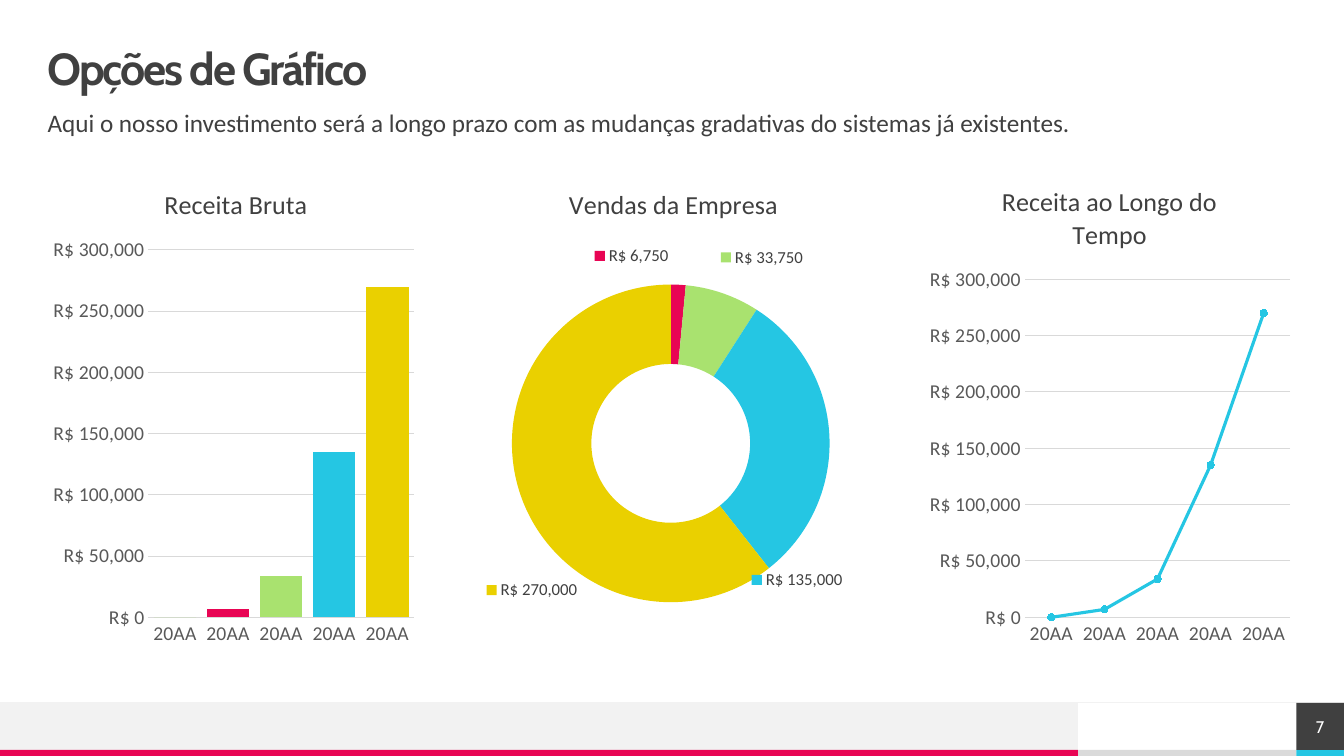
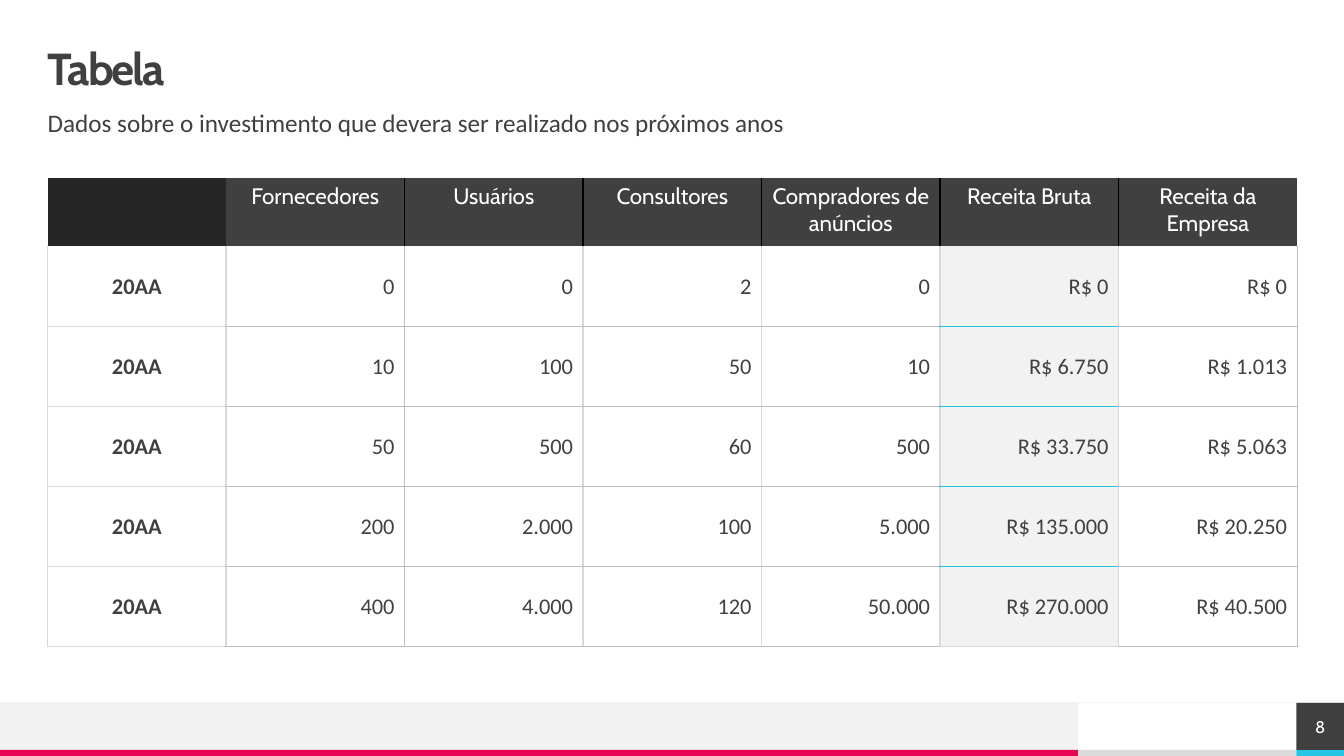
from pptx import Presentation
from pptx.chart.data import CategoryChartData as Data
from pptx.dml.color import RGBColor
from pptx.enum.chart import XL_CHART_TYPE as Kind, XL_MARKER_STYLE as Mark
from pptx.enum.chart import XL_TICK_MARK as Tick
from pptx.enum.shapes import MSO_CONNECTOR as Conn, MSO_SHAPE as Shape
from pptx.enum.text import MSO_ANCHOR as Anchor, MSO_AUTO_SIZE as Auto
from pptx.enum.text import PP_ALIGN as Align
from pptx.oxml import parse_xml
from pptx.oxml.ns import nsdecls, qn
from pptx.util import Pt

# Colours
WHITE = RGBColor(0xFF, 0xFF, 0xFF)
BLACK = RGBColor(0x00, 0x00, 0x00)
DARK = RGBColor(0x40, 0x40, 0x40)
COAL = RGBColor(0x26, 0x26, 0x26)
GREY = RGBColor(0x59, 0x59, 0x59)
PALE = RGBColor(0xF2, 0xF2, 0xF2)
SILVER = RGBColor(0xDA, 0xDA, 0xDA)
RULE = RGBColor(0xD9, 0xD9, 0xD9)
EDGE = RGBColor(0xBF, 0xBF, 0xBF)
CYAN = RGBColor(0x25, 0xC6, 0xE3)
PINK = RGBColor(0xE8, 0x05, 0x54)
GREEN = RGBColor(0xA9, 0xE2, 0x6F)
GOLD = RGBColor(0xEA, 0xD0, 0x00)

# Text formats
HEAD = dict(name="Cabin", size=Pt(32), bold=True, color=DARK)
LEAD = dict(name="Calibri", size=Pt(18), bold=False, color=DARK)
NAME = dict(LEAD, size=Pt(18.6))
AXIS = dict(name="Calibri", size=Pt(14), bold=False, color=GREY)
LABEL = dict(name="Calibri", size=Pt(12), bold=False, color=DARK)
PAGE = dict(name="Cabin", size=Pt(12), bold=False, color=WHITE)
TOP = dict(name="Cabin", size=Pt(16), bold=False, color=WHITE)
BODY = dict(name="Calibri", size=Pt(16), bold=False, color=DARK)

# Page measures, in points
WIDE, HIGH = 960, 540
LEFT, SPAN = 34, 892.6
BAND, BAR = 502, 535.7
SPLIT, TAB = 770, 926
MONEY = '"R$"\\ #,##0'
TINTS = [GREEN, PINK, GREEN, CYAN, GOLD]

SALES = [0, 7000, 34000, 135000, 270000]
PARTS = [0, 6750, 33750, 135000, 270000]
SHIFTS = {1: (-0.12, -0.14), 2: (0.14, -0.15), 3: (0.02, 0.29), 4: (-0.07, 0.22)}
ROWS = [
    ["", "Fornecedores", "Usuários", "Consultores", "Compradores de anúncios",
     "Receita Bruta", "Receita da Empresa"],
    ["20AA", "0", "0", "2", "0", "R$ 0", "R$ 0"],
    ["20AA", "10", "100", "50", "10", "R$ 6.750", "R$ 1.013"],
    ["20AA", "50", "500", "60", "500", "R$ 33.750", "R$ 5.063"],
    ["20AA", "200", "2.000", "100", "5.000", "R$ 135.000", "R$ 20.250"],
    ["20AA", "400", "4.000", "120", "50.000", "R$ 270.000", "R$ 40.500"],
]


def put(item, fmt):
    for key, val in fmt.items():
        if key == "color":
            item.color.rgb = val
        else:
            setattr(item, key, val)


def paint(item, color):
    item.fill.solid()
    item.fill.fore_color.rgb = color


def stroke(line, color, width):
    line.color.rgb = color
    line.width = Pt(width)


def box(slide, x, y, w, h, color):
    rect = slide.shapes.add_shape(Shape.RECTANGLE, Pt(x), Pt(y), Pt(w), Pt(h))
    rect.shadow.inherit = False
    paint(rect, color)
    rect.line.fill.background()
    return rect


def frame(shape, anchor=Anchor.MIDDLE):
    text = shape.text_frame
    sides = ("margin_left", "margin_top", "margin_right", "margin_bottom")
    put(text, dict(dict.fromkeys(sides, 0), word_wrap=True,
                   auto_size=Auto.NONE, vertical_anchor=anchor))
    return text


def write(para, text, fmt, track=0):
    run = para.add_run()
    run.text = text
    put(run.font, fmt)
    if track:
        run._r.get_or_add_rPr().set("spc", str(int(track * 100)))


# Shared page parts
def footer(slide, num):
    box(slide, SPLIT, BAR, TAB - SPLIT, HIGH - BAR, SILVER)
    box(slide, 0, BAND, SPLIT, BAR - BAND, PALE)
    box(slide, 0, BAR, SPLIT, HIGH - BAR, PINK)
    box(slide, TAB, BAR, WIDE - TAB, HIGH - BAR, CYAN)
    rule = slide.shapes.add_connector(Conn.STRAIGHT, 0, Pt(BAND), Pt(WIDE), Pt(BAND))
    stroke(rule.line, PALE, 0.5)
    rule._element.spPr.append(parse_xml(f"<a:effectLst {nsdecls('a')}/>"))
    para = frame(box(slide, TAB, BAND, WIDE - TAB, BAR - BAND, DARK)).paragraphs[0]
    para.alignment = Align.CENTER
    write(para, str(num), PAGE)


def page(deck, num, title, lead):
    slide = deck.slides.add_slide(deck.slide_layouts[5])
    footer(slide, num)
    head = slide.shapes.title
    put(head, dict(left=Pt(LEFT), top=Pt(34), width=Pt(SPAN), height=Pt(34)))
    para = frame(head).paragraphs[0]
    put(para, dict(alignment=Align.LEFT, line_spacing=0.9))
    write(para, title, HEAD, -1.5)
    area = slide.shapes.add_textbox(Pt(LEFT), Pt(79), Pt(SPAN), Pt(28))
    para = frame(area, Anchor.TOP).paragraphs[0]
    put(para, dict(line_spacing=0.9, space_before=Pt(10)))
    write(para, lead, LEAD)
    return slide


# Charts
def layout(mode, **vals):
    tags = "".join(f'<c:{key} val="{val}"/>' for key, val in vals.items())
    return parse_xml(f"<c:layout {nsdecls('c')}><c:manualLayout>{mode}{tags}"
                     "</c:manualLayout></c:layout>")


def place(node, spot, new):
    for old in node.findall(qn("c:layout")):
        node.remove(old)
    node.insert(spot, new)


def graph(slide, col, kind, title, cats, vals, title_at, plot_at):
    data = Data()
    data.categories = cats
    data.add_series("Series 1", vals)
    chart = slide.shapes.add_chart(
        kind, Pt(LEFT + 313 * col), Pt(119), Pt(267), Pt(350), data).chart
    put(chart, dict(has_legend=False, has_title=True))
    put(chart.font, dict(name="Calibri", size=Pt(10), color=BLACK))
    text = chart.chart_title.text_frame
    text.text = title
    for para in text.paragraphs:
        put(para.runs[0].font, NAME)
    edge = '<c:xMode val="edge"/><c:yMode val="edge"/>'
    x, y = title_at
    place(chart.chart_title._element, 1, layout(edge, x=x, y=y))
    x, y, w, h = plot_at
    plot = chart._chartSpace.chart.plotArea
    place(plot, 0, layout('<c:layoutTarget val="inner"/>' + edge, x=x, y=y, w=w, h=h))
    return chart


def axes(chart):
    val, cat = chart.value_axis, chart.category_axis
    put(val, dict(minimum_scale=0, maximum_scale=300000, major_unit=50000,
                  has_major_gridlines=True))
    stroke(val.major_gridlines.format.line, RULE, 0.75)
    val.format.line.fill.background()
    stroke(cat.format.line, RULE, 0.75)
    put(val.tick_labels, dict(number_format=MONEY, number_format_is_linked=False))
    for axis in (val, cat):
        put(axis, dict(major_tick_mark=Tick.NONE, minor_tick_mark=Tick.NONE))
        put(axis.tick_labels.font, AXIS)


def tint(series):
    for i, color in enumerate(TINTS):
        paint(series.points[i].format, color)


def tags(series):
    labels = series.data_labels
    labels.show_value = False
    for lead in labels._element.findall(qn("c:showLeaderLines")):
        lead.set("val", "0")
    for i, (x, y) in SHIFTS.items():
        put(series.points[i].data_label.font, LABEL)
        node = next(d for d in labels._element.findall(qn("c:dLbl"))
                    if d.find(qn("c:idx")).get("val") == str(i))
        place(node, 1, layout("", x=x, y=y))
        fmt = parse_xml(f"<c:numFmt {nsdecls('c')} sourceLinked=\"0\"/>")
        fmt.set("formatCode", MONEY)
        node.insert(2, fmt)
        node.find(qn("c:showLegendKey")).set("val", "1")


def charts(slide):
    years = ["20AA"] * 5
    bars = graph(slide, 0, Kind.COLUMN_CLUSTERED, "Receita Bruta", years, SALES,
                 (0.3, 0.03), (0.27, 0.17, 0.71, 0.75))
    axes(bars)
    put(bars.plots[0], dict(gap_width=25, vary_by_categories=False))
    tint(bars.plots[0].series[0])

    ring = graph(slide, 1, Kind.DOUGHNUT, "Vendas da Empresa", list("12345"), PARTS,
                 (0.21, 0.03), (0.07, 0.24, 0.85, 0.65))
    tint(ring.plots[0].series[0])
    tags(ring.plots[0].series[0])

    trend = graph(slide, 2, Kind.LINE_MARKERS_STACKED, "Receita ao Longo do\nTempo",
                  years, SALES, (0.2, 0.03), (0.27, 0.23, 0.71, 0.69))
    axes(trend)
    trend.plots[0].vary_by_categories = False
    line = trend.plots[0].series[0]
    line.smooth = False
    stroke(line.format.line, CYAN, 2.25)
    put(line.marker, dict(style=Mark.CIRCLE, size=5))
    paint(line.marker.format, CYAN)
    stroke(line.marker.format.line, CYAN, 0.75)


# Table
def upright(row, side):
    """Line at a column boundary, counted from the left."""
    if row == 0:
        return (BLACK, 1) if 2 <= side <= 6 else None
    return (EDGE, 0.25) if side in (2, 7) else (RULE, 1)


def level(side, col):
    """Line at a row boundary, counted from the top."""
    if side < 2:
        return None
    if col == 5:
        return (RULE if side == len(ROWS) else CYAN, 1)
    return (RULE, 1) if col == 0 else (EDGE, 0.25)


def border(cell, row, col):
    lines = dict(lnL=upright(row, col), lnR=upright(row, col + 1),
                 lnT=level(row, col), lnB=level(row + 1, col))
    for i, (tag, line) in enumerate(lines.items()):
        color, width = line or (WHITE, 0)
        fill = (f'<a:solidFill><a:srgbClr val="{color}"/></a:solidFill>'
                if line else "<a:noFill/>")
        cell._tc.get_or_add_tcPr().insert(i, parse_xml(
            f'<a:{tag} {nsdecls("a")} w="{Pt(width)}">{fill}</a:{tag}>'))


def table(slide):
    rows, cols = len(ROWS), len(ROWS[0])
    grid = slide.shapes.add_table(
        rows, cols, Pt(LEFT), Pt(127.4), Pt(SPAN), Pt(334.6)).table
    put(grid, dict(first_row=False, horz_banding=False))
    for col in grid.columns:
        col.width = Pt(SPAN / cols)
    for r, row in enumerate(ROWS):
        grid.rows[r].height = Pt(57.2 if r else 48.6)
        for c, text in enumerate(row):
            cell = grid.cell(r, c)
            if r == 0:
                color = DARK if c else COAL
            else:
                color = PALE if c == 5 else WHITE
            paint(cell, color)
            border(cell, r, c)
            cell.vertical_anchor = Anchor.MIDDLE if r else Anchor.TOP
            para = cell.text_frame.paragraphs[0]
            para.alignment = Align.RIGHT if r and c else Align.CENTER
            if text:
                write(para, text, dict(BODY, bold=c == 0) if r else TOP)


def main():
    deck = Presentation()
    put(deck, dict(slide_width=Pt(WIDE), slide_height=Pt(HIGH)))
    charts(page(deck, 7, "Opções de Gráfico",
                "Aqui o nosso investimento será a longo prazo com as mudanças "
                "gradativas do sistemas já existentes."))
    table(page(deck, 8, "Tabela",
               "Dados sobre o investimento que devera ser realizado nos próximos anos"))
    deck.save("out.pptx")


if __name__ == "__main__":
    main()
